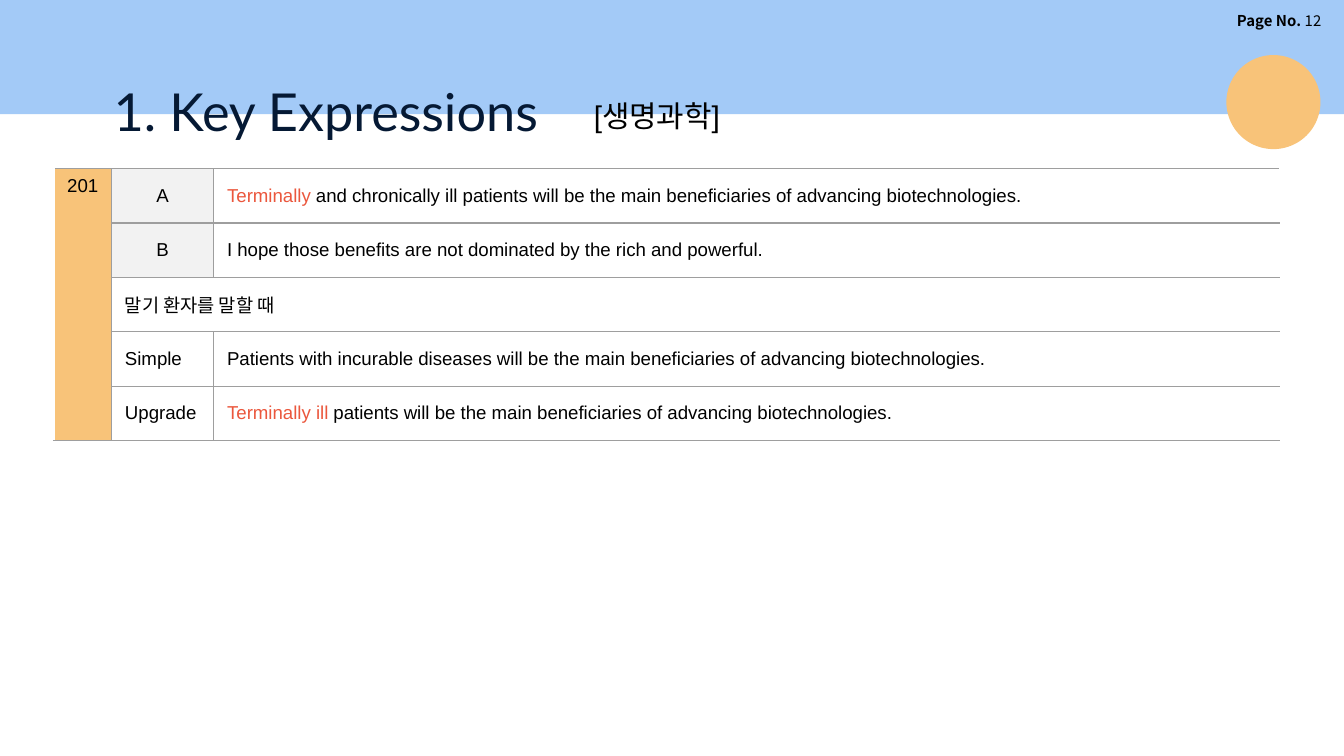
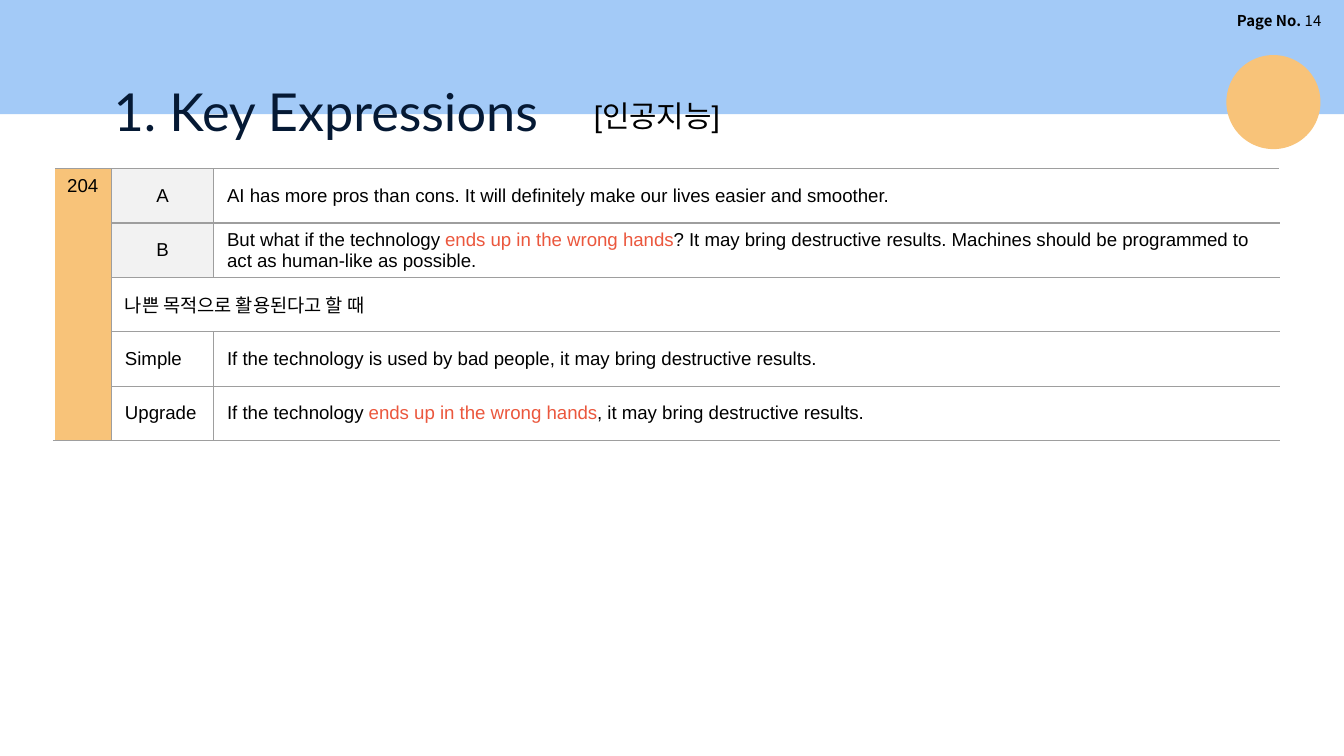
from lxml.etree import SubElement
from pptx import Presentation
from pptx.dml.color import RGBColor
from pptx.enum.shapes import MSO_SHAPE as Shape
from pptx.enum.text import MSO_ANCHOR as Anchor, MSO_AUTO_SIZE as Fit, PP_ALIGN as Align
from pptx.oxml.ns import qn
from pptx.util import Inches, Pt

WIDE = Inches(10)
HIGH = WIDE * 9 // 16
UNIT = WIDE / 100  # grid step, the same across and down

BLUE, ORANGE, PALE, WHITE = "A3CAF7", "F8C379", "F2F2F2", "FFFFFF"
NAVY, BLACK, RED, GREY = "051934", "000000", "EB573D", "9E9E9E"
HEAD, BODY, NOTE = "Lato", "Arial", "Noto Sans CJK KR"

TITLE = "1. Key Expressions"
LABELS = ["A", "B", None, "Simple", "Upgrade"]  # None: the topic spans the row
COLS, ROW = [4.3, 7.6, 79.3], 4.05

# Asterisks enclose the words set in red.
PAGES = [
    ("12", "[생명과학]", "201", [
        "*Terminally* and chronically ill patients will be the main "
        "beneficiaries of advancing biotechnologies.",
        "I hope those benefits are not dominated by the rich and powerful.",
        "말기 환자를 말할 때",
        "Patients with incurable diseases will be the main beneficiaries "
        "of advancing biotechnologies.",
        "*Terminally ill* patients will be the main beneficiaries of "
        "advancing biotechnologies.",
    ]),
    ("14", "[인공지능]", "204", [
        "AI has more pros than cons. It will definitely make our lives "
        "easier and smoother.",
        "But what if the technology *ends up in the wrong hands*? It may "
        "bring destructive results. Machines should be programmed to act "
        "as human-like as possible.",
        "나쁜 목적으로 활용된다고 할 때",
        "If the technology is used by bad people, it may bring "
        "destructive results.",
        "If the technology *ends up in the wrong hands*, it may bring "
        "destructive results.",
    ]),
]


def rgb(hue):
    return RGBColor.from_string(hue)


def units(*steps):
    return [round(step * UNIT) for step in steps]


def style(run, size, face, hue=BLACK, bold=False):
    font = run.font
    font.size, font.name, font.bold = Pt(size), face, bold
    font.color.rgb = rgb(hue)


def add_form(slide, kind, hue, *box):
    form = slide.shapes.add_shape(kind, *units(*box))
    form.shadow.inherit = False
    form.fill.solid()
    form.fill.fore_color.rgb = rgb(hue)
    form.line.fill.background()
    return form


def add_label(slide, *box):
    """Add a wrapping text box that grows, and return its first paragraph."""
    frame = slide.shapes.add_textbox(*units(*box)).text_frame
    frame.word_wrap = True
    frame.auto_size = Fit.SHAPE_TO_FIT_TEXT
    return frame.paragraphs[0]


def add_title(slide):
    title = slide.shapes.title
    title.left, title.top, title.width, title.height = units(7.45, 4.9, 35.1, 6.3)
    frame = title.text_frame
    frame.text = TITLE
    frame.auto_size, frame.vertical_anchor = Fit.NONE, Anchor.TOP
    frame.margin_left = frame.margin_right = Inches(0.1)
    frame.margin_top = frame.margin_bottom = Inches(0.1)
    frame.paragraphs[0].alignment = Align.LEFT
    style(frame.paragraphs[0].runs[0], 28, HEAD, NAVY)


def add_frame(slide, page):
    band = add_form(slide, Shape.RECTANGLE, BLUE, 0, 0, 100, 8.5)
    slide.shapes.element.insert(2, band.element)  # behind the title
    para = add_label(slide, 84.8, 0.4, 14.5, 2.3)
    para.alignment = Align.RIGHT
    for text, bold in (("Page No. ", True), (page, False)):
        run = para.add_run()
        run.text = text
        style(run, 8, NOTE, bold=bold)
    add_title(slide)


def add_topic(slide, text):
    para = add_label(slide, 43.2, 6.8, 20, 3.7)
    para.text = text
    style(para.runs[0], 16, BODY)


def edge(cell, sides):
    """Draw the borders, given as a colour and width for each side."""
    props = cell._tc.get_or_add_tcPr()
    for spot, (side, (hue, width)) in enumerate(sides.items()):
        line = SubElement(props, qn(f"a:ln{side}"), w=str(Pt(width)))
        fill = SubElement(line, qn("a:solidFill"))
        SubElement(fill, qn("a:srgbClr"), val=hue)
        props.insert(spot, line)


def paint(cell, hue):
    if hue:
        cell.fill.solid()
        cell.fill.fore_color.rgb = rgb(hue)
    else:
        cell.fill.background()


def write(cell, text, align=Align.LEFT, anchor=Anchor.MIDDLE):
    cell.vertical_anchor = anchor
    para = cell.text_frame.paragraphs[0]
    para.alignment = align
    for spot, part in enumerate(text.split("*")):
        if part:
            run = para.add_run()
            run.text = part
            style(run, 10, BODY, RED if spot % 2 else BLACK)


def add_grid(slide, number, lines):
    count = len(LABELS)
    box = units(4, 12.55, sum(COLS), ROW * count)
    table = slide.shapes.add_table(count, len(COLS), *box).table
    table.first_row = table.horz_banding = False
    for col, width in zip(table.columns, units(*COLS)):
        col.width = width
    grey, white = (GREY, 0.75), (WHITE, 1)
    for r, (label, line) in enumerate(zip(LABELS, lines)):
        table.rows[r].height = round(ROW * UNIT)
        cells = [table.cell(r, c) for c in range(len(COLS))]
        chat = label in ("A", "B")
        for c, cell in enumerate(cells):
            last = c == 2 or (c == 1 and not label)
            cell.margin_top = cell.margin_bottom = Inches(0.03)
            paint(cell, (ORANGE, PALE if chat else None, None)[c])
            edge(cell, {"L": grey if c else white, "R": white if last else grey,
                        "T": grey, "B": grey})
        if label:
            write(cells[1], label, Align.CENTER if chat else Align.LEFT)
            write(cells[2], line)
        else:
            cells[1].merge(cells[2])
            write(cells[1], line)
    first = table.cell(0, 0)
    first.merge(table.cell(count - 1, 0))
    first.margin_top = first.margin_right = Inches(0.05)
    write(first, number, anchor=Anchor.TOP)


def main():
    deck = Presentation()
    deck.slide_width, deck.slide_height = WIDE, HIGH
    for page, topic, number, lines in PAGES:
        slide = deck.slides.add_slide(deck.slide_layouts[5])
        add_frame(slide, page)
        add_grid(slide, number, lines)
        add_topic(slide, topic)
        add_form(slide, Shape.OVAL, ORANGE, 91.25, 4.1, 7, 7)
    deck.save("out.pptx")


if __name__ == "__main__":
    main()
